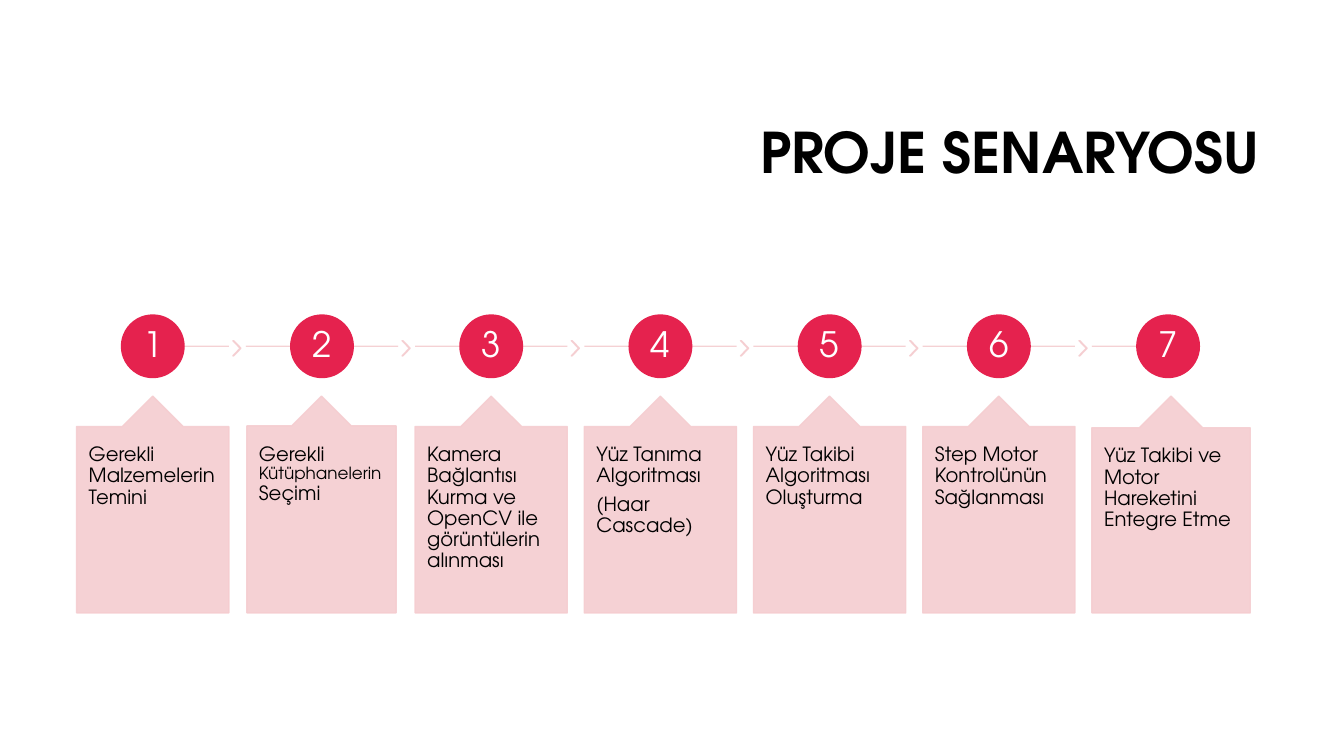
from dataclasses import dataclass

from lxml import etree
from pptx import Presentation
from pptx.dml.color import RGBColor
from pptx.enum.shapes import MSO_CONNECTOR, MSO_SHAPE
from pptx.enum.text import MSO_ANCHOR, MSO_AUTO_SIZE, PP_ALIGN
from pptx.oxml.ns import qn
from pptx.util import Inches, Pt

STRAIGHT = MSO_CONNECTOR.STRAIGHT
CIRCLE, CHEVRON = MSO_SHAPE.OVAL, MSO_SHAPE.CHEVRON
CALLOUT = MSO_SHAPE.UP_ARROW_CALLOUT
MIDDLE, TOP = MSO_ANCHOR.MIDDLE, MSO_ANCHOR.TOP
LEFT, CENTER, RIGHT = PP_ALIGN.LEFT, PP_ALIGN.CENTER, PP_ALIGN.RIGHT

FONT = "TeX Gyre Adventor"
COLORS = {"ink": "000000", "number": "FFFFFF", "badge": "E5224E", "pale": "F5CDD0"}
PALE_OPACITY = 90

# Timeline grid, in inches: one column per stage
GRID_LEFT = 0.76
COLUMN_STEP = 10.07 / 6
COLUMN_WIDTH = 1.51
AXIS_Y = 3.435
BADGE_SIZE = 0.62
CHEVRON_OFFSET, CHEVRON_WIDTH, CHEVRON_HEIGHT = 1.55, 0.08, 0.15
CALLOUT_TOP, CALLOUT_HEIGHT = 3.93, 2.15


@dataclass(frozen=True)
class Run:
    text: str
    size: float = 14
    color: str = "ink"
    bold: bool = False


@dataclass(frozen=True)
class Stage:
    paragraphs: list[list[Run]]
    width: float = COLUMN_WIDTH
    shift: float = 0


STAGES = [
    Stage([[Run("Gerekli Malzemelerin Temini")]]),
    Stage([[Run("Gerekli "), Run("Kütüphanelerin ", 12), Run("Seçimi")]],
          width=1.48, shift=0.01),
    Stage([[Run("Kamera Bağlantısı Kurma ve OpenCV ile görüntülerin alınması")]]),
    Stage([[Run("Yüz Tanıma Algoritması")], [Run("(Haar Cascade)")]]),
    Stage([[Run("Yüz Takibi Algoritması Oluşturma")]]),
    Stage([[Run("Step Motor Kontrolünün Sağlanması")]]),
    Stage([[Run("Yüz Takibi ve Motor Hareketini Entegre Etme")]], width=1.57),
]


def paint(color_format, color: str) -> None:
    color_format.rgb = RGBColor.from_string(COLORS[color])


def make_translucent(element) -> None:
    """Apply the pale opacity to every colour inside the element."""
    for color in element.iter(qn("a:srgbClr")):
        etree.SubElement(color, qn("a:alpha"), val=str(PALE_OPACITY * 1000))


def write(frame, paragraphs: list[list[Run]], align, anchor) -> None:
    frame.word_wrap = True
    frame.auto_size = MSO_AUTO_SIZE.NONE
    frame.vertical_anchor = anchor
    for index, runs in enumerate(paragraphs):
        paragraph = frame.add_paragraph() if index else frame.paragraphs[0]
        paragraph.alignment = align
        paragraph.line_spacing = 0.9
        if index < len(paragraphs) - 1:
            paragraph.space_after = Pt(5)
        for item in runs:
            run = paragraph.add_run()
            run.text = item.text
            run.font.name = FONT
            run.font.size = Pt(item.size)
            run.font.bold = item.bold
            paint(run.font.color, item.color)


def set_insets(frame, horizontal: float, vertical: float) -> None:
    frame.margin_left = frame.margin_right = Inches(horizontal)
    frame.margin_top = frame.margin_bottom = Inches(vertical)


def add_filled(slide, preset, left: float, top: float, width: float,
               height: float, color: str):
    shape = slide.shapes.add_shape(
        preset, Inches(left), Inches(top), Inches(width), Inches(height))
    shape.shadow.inherit = False
    shape.fill.solid()
    paint(shape.fill.fore_color, color)
    paint(shape.line.color, color)
    shape.line.width = Pt(1)
    if color == "pale":
        make_translucent(shape.fill.fore_color and shape.element.spPr)
    return shape


def add_axis_segment(slide, start: float, end: float) -> None:
    segment = slide.shapes.add_connector(
        STRAIGHT, Inches(start), Inches(AXIS_Y), Inches(end), Inches(AXIS_Y))
    paint(segment.line.color, "pale")
    segment.line.width = Pt(1)
    properties = segment.element.spPr
    make_translucent(properties)
    etree.SubElement(properties, qn("a:effectLst"))


def add_stage(slide, index: int, stage: Stage) -> None:
    left = GRID_LEFT + index * COLUMN_STEP
    center = left + COLUMN_WIDTH / 2
    is_first, is_last = index == 0, index == len(STAGES) - 1

    add_axis_segment(slide, center if is_first else left,
                     center if is_last else left + COLUMN_WIDTH)
    if not is_last:
        chevron = add_filled(slide, CHEVRON, left + CHEVRON_OFFSET, 3.38,
                             CHEVRON_WIDTH, CHEVRON_HEIGHT, "pale")
        chevron.adjustments[0] = 0.9

    badge = add_filled(slide, CIRCLE, center - BADGE_SIZE / 2,
                       AXIS_Y - BADGE_SIZE / 2, BADGE_SIZE, BADGE_SIZE, "badge")
    set_insets(badge.text_frame, 0.02, 0.02)
    write(badge.text_frame, [[Run(str(index + 1), 25, "number")]], CENTER, MIDDLE)

    callout = add_filled(slide, CALLOUT, left + stage.shift, CALLOUT_TOP,
                         stage.width, CALLOUT_HEIGHT, "pale")
    for position, value in enumerate((0.5, 0.2, 0.2, 1)):
        callout.adjustments[position] = value
    set_insets(callout.text_frame, 0.12, 0.18)
    write(callout.text_frame, stage.paragraphs, LEFT, TOP)


def main() -> None:
    deck = Presentation()
    deck.slide_width, deck.slide_height = Inches(13.33), Inches(7.5)
    slide = deck.slides.add_slide(deck.slide_layouts[5])

    title = slide.shapes.title
    title.left, title.top = Inches(3.17), Inches(0.84)
    title.width, title.height = Inches(9.42), Inches(1.41)
    write(title.text_frame, [[Run("PROJE SENARYOSU", 40, bold=True)]], RIGHT, MIDDLE)

    for index, stage in enumerate(STAGES):
        add_stage(slide, index, stage)
    deck.save("out.pptx")


if __name__ == "__main__":
    main()
